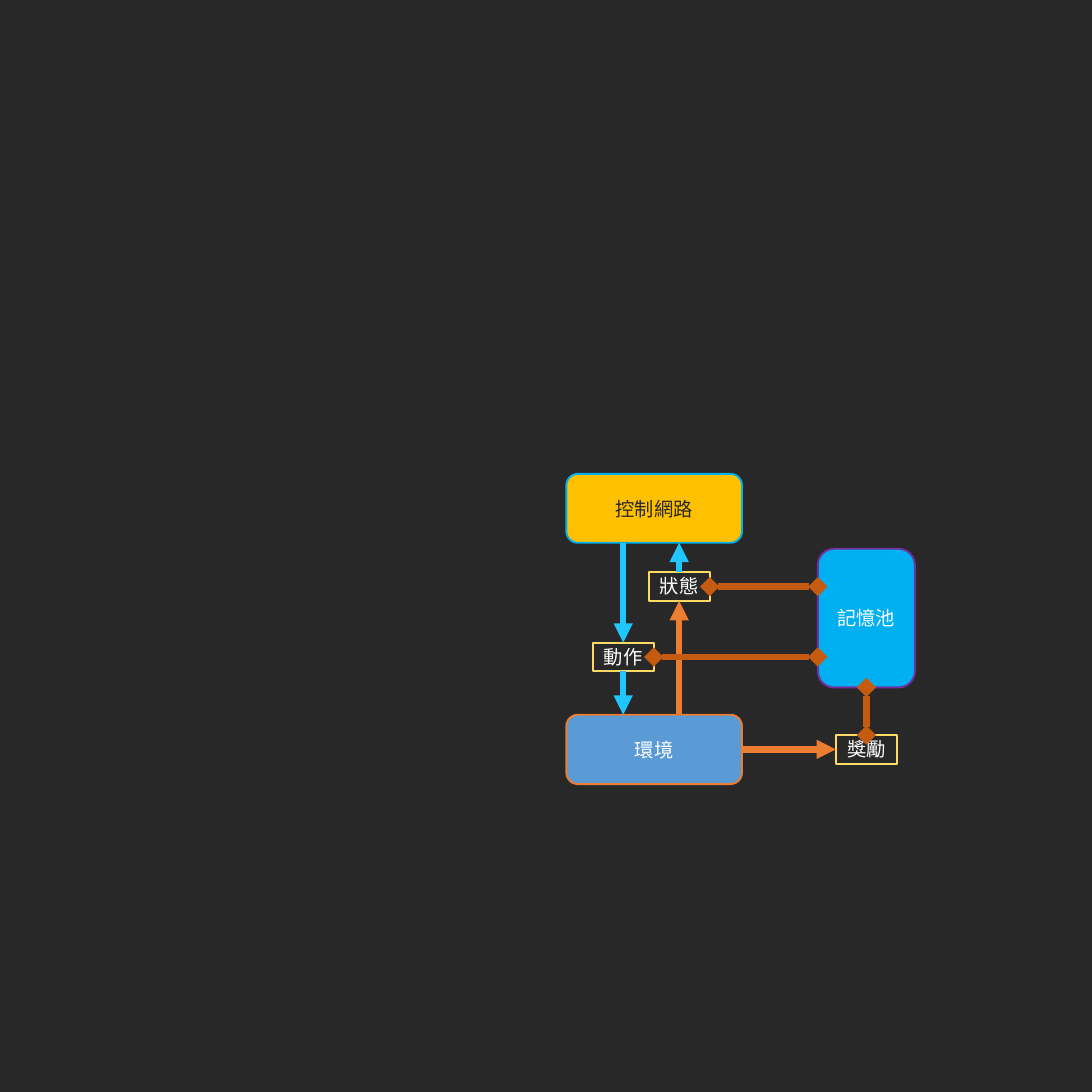
import pptx
import pptx.util
from lxml import etree
from pptx.dml.color import RGBColor
from pptx.enum.shapes import MSO_CONNECTOR, MSO_SHAPE
from pptx.enum.text import MSO_ANCHOR, PP_ALIGN
from pptx.oxml.ns import qn

Inches = pptx.util.Inches
Pt = pptx.util.Pt

DARK = RGBColor(0x28, 0x28, 0x28)
WHITE = RGBColor(0xFF, 0xFF, 0xFF)
AMBER = RGBColor(0xFF, 0xC0, 0x00)
CYAN = RGBColor(0x00, 0xB0, 0xF0)
SKY = RGBColor(0x21, 0xC5, 0xFF)
PURPLE = RGBColor(0x70, 0x30, 0xA0)
BLUE = RGBColor(0x5B, 0x9B, 0xD5)
ORANGE = RGBColor(0xED, 0x7D, 0x31)
BROWN = RGBColor(0xC5, 0x5A, 0x11)
YELLOW = RGBColor(0xFF, 0xD9, 0x66)

TOP, LEFT, BOTTOM, RIGHT = range(4)


def write_text(sp, text, *, font, size, color, anchor):
    tf = sp.text_frame
    tf.word_wrap = True
    tf.vertical_anchor = anchor
    p = tf.paragraphs[0]
    p.alignment = PP_ALIGN.CENTER
    r = p.add_run()
    r.text = text
    r.font.name = font
    r.font.size = Pt(size)
    r.font.color.rgb = color


class Diagram:
    font = "Courier New"
    size = 30
    outline = 3
    arrow = 10

    def __init__(self, s):
        self.s = s
        s.background.fill.solid()
        s.background.fill.fore_color.rgb = DARK

    def block(self, text, x, y, w, h, fill, line, color=WHITE):
        sp = self.s.shapes.add_shape(
            MSO_SHAPE.ROUNDED_RECTANGLE, Inches(x), Inches(y), Inches(w), Inches(h))
        sp.shadow.inherit = False
        sp.fill.solid()
        sp.fill.fore_color.rgb = fill
        sp.line.color.rgb = line
        sp.line.width = Pt(self.outline)
        write_text(sp, text, font=self.font, size=self.size, color=color,
                   anchor=MSO_ANCHOR.MIDDLE)
        return sp

    def label(self, text, x, y):
        sp = self.s.shapes.add_textbox(Inches(x), Inches(y), Inches(1.32), Inches(0.62))
        sp.line.color.rgb = YELLOW
        sp.line.width = Pt(self.outline)
        write_text(sp, text, font=self.font, size=self.size, color=WHITE,
                   anchor=MSO_ANCHOR.TOP)
        return sp

    def connect(self, color, start, end, begin=None, finish=None, head=None, tail="triangle"):
        c = self.s.shapes.add_connector(
            MSO_CONNECTOR.STRAIGHT, *(Inches(v) for v in start + end))
        if begin:
            c.begin_connect(*begin)
        if finish:
            c.end_connect(*finish)
        c.line.color.rgb = color
        c.line.width = Pt(self.arrow)
        ln = c.line._get_or_add_ln()
        for tag, kind in (("a:headEnd", head), ("a:tailEnd", tail)):
            if kind:
                etree.SubElement(ln, qn(tag)).set("type", kind)
        etree.SubElement(c._element.spPr, qn("a:effectLst"))

    def link(self, start, end, begin, finish=None):
        self.connect(BROWN, start, end, begin, finish, head="diamond", tail="diamond")


def main():
    prs = pptx.Presentation()
    prs.slide_width = prs.slide_height = Inches(23.62)
    d = Diagram(prs.slides.add_slide(prs.slide_layouts[6]))

    d.block("控制網路", 12.25, 10.25, 3.8, 1.49, AMBER, CYAN, DARK)
    memory = d.block("記憶池", 17.69, 11.87, 2.1, 3, CYAN, PURPLE)
    state = d.label("狀態", 14.03, 12.38)
    action = d.label("動作", 12.82, 13.9)
    env = d.block("環境", 12.25, 15.46, 3.8, 1.5, BLUE, ORANGE)
    reward = d.label("獎勵", 18.08, 15.9)

    d.connect(SKY, (13.48, 11.74), (13.48, 13.9), finish=(action, TOP))
    d.connect(SKY, (13.48, 14.52), (13.48, 15.46), begin=(action, BOTTOM))
    d.connect(ORANGE, (14.69, 15.46), (14.69, 13), finish=(state, BOTTOM))
    d.connect(SKY, (14.69, 12.38), (14.69, 11.74), begin=(state, TOP))
    d.link((15.35, 12.69), (17.69, 12.69), (state, RIGHT))
    d.link((14.14, 14.21), (17.69, 14.21), (action, RIGHT))
    d.connect(ORANGE, (16.05, 16.21), (18.08, 16.21), (env, RIGHT), (reward, LEFT))
    d.link((18.74, 15.9), (18.74, 14.87), (reward, TOP), (memory, BOTTOM))

    prs.save("out.pptx")


if __name__ == "__main__":
    main()
